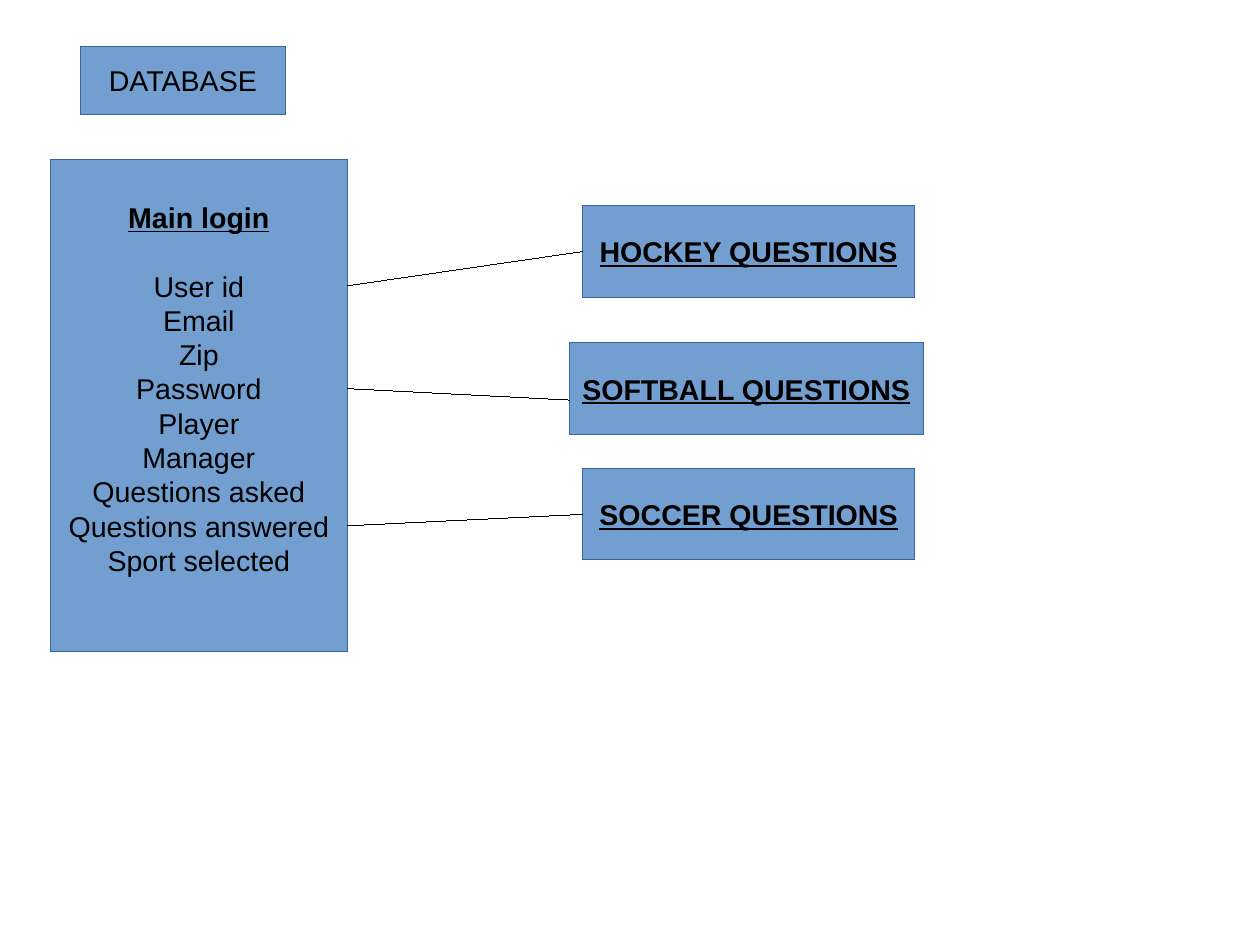
from pptx import Presentation
from pptx.dml.color import RGBColor
from pptx.enum.shapes import MSO_CONNECTOR as Connector, MSO_SHAPE as Shape
from pptx.enum.text import MSO_ANCHOR as Anchor, MSO_AUTO_SIZE as AutoSize, PP_ALIGN as Align
from pptx.oxml.ns import qn
from pptx.util import Inches, Pt

COLORS = {"fill": "729FCF", "border": "3465A4", "ink": "000000"}
CM_PER_INCH = 2.54
LINE_HEIGHT = 0.3
HAIRLINE = Pt(0.01)

LOGIN_FIELDS = ["User id", "Email", "Zip", "Password", "Player", "Manager",
                "Questions asked", "Questions answered", "Sport selected"]
LOGIN_BOX = (0.44, 1.4, 2.6, 4.3)

# Name, box area, then line start below the login top and line end below the box top
SPORTS = [("HOCKEY", (5.1, 1.8, 2.9, 0.8), 1.1, 0.4),
          ("SOFTBALL", (4.98, 3, 3.1, 0.8), 2, 0.5),
          ("SOCCER", (5.1, 4.1, 2.9, 0.8), 3.2, 0.4)]


def color(name):
    return RGBColor.from_string(COLORS[name])


def style_line(line, name):
    line.color.rgb = color(name)
    line.width = HAIRLINE


def style_box(shape, lines, heading=True):
    """Fill the box and write its lines, the first one as a heading if asked."""
    shape.fill.solid()
    shape.fill.fore_color.rgb = color("fill")
    style_line(shape.line, "border")
    shape.shadow.inherit = False
    frame = shape.text_frame
    frame.text = "\n".join(lines)
    frame.word_wrap = False
    frame.auto_size = AutoSize.NONE
    frame.vertical_anchor = Anchor.MIDDLE
    for index, para in enumerate(frame.paragraphs):
        para.alignment = Align.CENTER
        para.font.name = "Arial"
        para.font.size = Pt(18)
        para.font.color.rgb = color("ink")
        para.font.bold = para.font.underline = heading and index == 0


def add_box(page, area, lines):
    shape = page.shapes.add_shape(Shape.RECTANGLE, *map(Inches, area))
    style_box(shape, lines)
    return shape


def add_title(page, area):
    title = page.shapes.title
    title.left, title.top, title.width, title.height = map(Inches, area)
    style_box(title, ["DATABASE"], heading=False)


def add_login(page, area):
    frame = add_box(page, area, ["Main login", *LOGIN_FIELDS]).text_frame
    # One line of room under the heading and under the list
    frame.paragraphs[0].space_after = Inches(LINE_HEIGHT)
    frame.margin_bottom = Inches(0.05 + LINE_HEIGHT)


def add_link(page, start, end):
    link = page.shapes.add_connector(Connector.STRAIGHT, *map(Inches, start + end))
    style_line(link.line, "ink")
    properties = link._element.spPr
    properties.append(properties.makeelement(qn("a:effectLst"), {}))


def add_sports(page, login_area):
    login_left, login_top, login_width, _ = login_area
    for name, area, start_drop, end_drop in SPORTS:
        left, top, _, _ = area
        add_box(page, area, [f"{name} QUESTIONS"])
        add_link(page, (login_left + login_width, login_top + start_drop),
                 (left, top + end_drop))


def main():
    deck = Presentation()
    deck.slide_width = Inches(28 / CM_PER_INCH)
    deck.slide_height = Inches(21 / CM_PER_INCH)
    page = deck.slides.add_slide(deck.slide_layouts[5])
    add_title(page, (0.7, 0.41, 1.8, 0.59))
    add_login(page, LOGIN_BOX)
    add_sports(page, LOGIN_BOX)
    deck.save("out.pptx")


if __name__ == "__main__":
    main()
